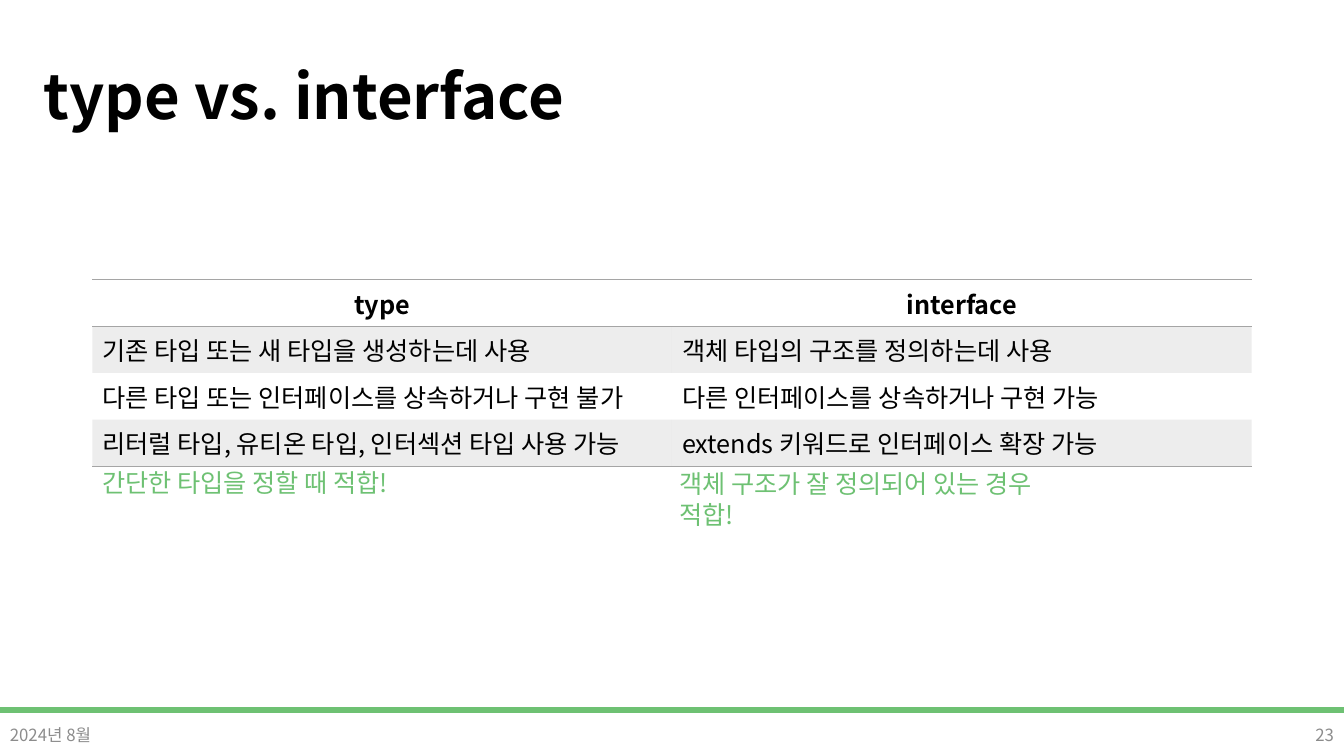
from dataclasses import dataclass

import pptx
import pptx.dml.color
import pptx.enum.shapes
import pptx.enum.text
import pptx.oxml
import pptx.oxml.ns
import pptx.util
from lxml import etree

Pt = pptx.util.Pt
Align = pptx.enum.text.PP_ALIGN
Anchor = pptx.enum.text.MSO_ANCHOR
qn = pptx.oxml.ns.qn

FONT = "Noto Sans CJK KR"
COLORS = {"black": "000000", "green": "6EC173", "gray": "A5A5A5", "footer": "8C8C8C"}
SLIDE_WIDTH, SLIDE_HEIGHT = 960, 540
FOOTER_TOP, FOOTER_WIDTH = 510.5, 216
TABLE_LEFT, TABLE_TOP = 66, 199.8
COLUMN_WIDTH, ROW_HEIGHT = 414, 29.2


@dataclass
class Label:
    text: str
    left: float
    top: float
    width: float
    height: float
    size: float
    color: str
    bold: bool = False
    align: Align = Align.LEFT
    anchor: Anchor = Anchor.TOP
    wrap: bool = True
    spacing: float | None = None


LABELS = [
    Label("2024년 8월", 0, FOOTER_TOP, FOOTER_WIDTH, 28.8, 12, "footer", anchor=Anchor.MIDDLE),
    Label("23", SLIDE_WIDTH - FOOTER_WIDTH, FOOTER_TOP, FOOTER_WIDTH, 28.8, 12, "footer",
          align=Align.RIGHT, anchor=Anchor.MIDDLE),
    Label("type vs. interface", 24, 18.7, 828, 104.4, 44, "black", bold=True,
          anchor=Anchor.MIDDLE, spacing=0.9),
    Label("간단한 타입을 정할 때 적합!", TABLE_LEFT, 330.5, 219.6, 28.8, 18, "green", wrap=False),
    Label("객체 구조가 잘 정의되어 있는 경우 적합!", 478, 331.2, 303, 28.8, 18, "green"),
]

COMPARISON = [
    ("type", "interface"),
    ("기존 타입 또는 새 타입을 생성하는데 사용", "객체 타입의 구조를 정의하는데 사용"),
    ("다른 타입 또는 인터페이스를 상속하거나 구현 불가", "다른 인터페이스를 상속하거나 구현 가능"),
    ("리터럴 타입, 유티온 타입, 인터섹션 타입 사용 가능", "extends 키워드로 인터페이스 확장 가능"),
]


def rgb(color: str) -> pptx.dml.color.RGBColor:
    return pptx.dml.color.RGBColor.from_string(COLORS[color])


def write(paragraph, text: str, size: float, color: str, bold: bool, align: Align) -> None:
    paragraph.text = text
    paragraph.alignment = align
    font = paragraph.font
    font.name, font.size, font.bold = FONT, Pt(size), bold
    font.color.rgb = rgb(color)
    # Korean glyphs take the East Asian typeface
    latin = paragraph._p.pPr.find(qn("a:defRPr")).find(qn("a:latin"))
    east_asian = etree.Element(qn("a:ea"), typeface=FONT)
    latin.addnext(east_asian)


def add_label(slide, label: Label) -> None:
    box = slide.shapes.add_textbox(Pt(label.left), Pt(label.top), Pt(label.width), Pt(label.height))
    frame = box.text_frame
    frame.word_wrap = label.wrap
    frame.vertical_anchor = label.anchor
    paragraph = frame.paragraphs[0]
    write(paragraph, label.text, label.size, label.color, label.bold, label.align)
    if label.spacing:
        paragraph.line_spacing = label.spacing


def set_borders(cell, ruled: set[str]) -> None:
    properties = cell._tc.get_or_add_tcPr()
    for position, side in enumerate("LRTB"):
        border = etree.Element(qn(f"a:ln{side}"), w=str(Pt(1)))
        if side in ruled:
            fill = etree.SubElement(border, qn("a:solidFill"))
            etree.SubElement(fill, qn("a:srgbClr"), val=COLORS["gray"])
        else:
            etree.SubElement(border, qn("a:noFill"))
        properties.insert(position, border)


def shade(cell) -> None:
    cell.fill.solid()
    cell.fill.fore_color.rgb = rgb("gray")
    color = cell._tc.tcPr.find(qn("a:solidFill")).find(qn("a:srgbClr"))
    etree.SubElement(color, qn("a:alpha"), val="20000")


def add_comparison(slide) -> None:
    rows, columns = len(COMPARISON), len(COMPARISON[0])
    table = slide.shapes.add_table(rows, columns, Pt(TABLE_LEFT), Pt(TABLE_TOP),
                                   Pt(columns * COLUMN_WIDTH), Pt(rows * ROW_HEIGHT)).table
    table.horz_banding = False
    table.first_row = False
    for row, texts in enumerate(COMPARISON):
        header = row == 0
        ruled = {"T", "B"} if header else {"B"} if row == rows - 1 else set()
        if row == 1:
            ruled = {"T"}
        for column, text in enumerate(texts):
            cell = table.cell(row, column)
            write(cell.text_frame.paragraphs[0], text, 18, "black", header,
                  Align.CENTER if header else Align.LEFT)
            if row % 2:
                shade(cell)
            else:
                cell.fill.background()
            set_borders(cell, ruled)


def add_footer_bar(slide) -> None:
    bar = slide.shapes.add_shape(pptx.enum.shapes.MSO_SHAPE.RECTANGLE,
                                 Pt(0), Pt(505.4), Pt(SLIDE_WIDTH), Pt(3.6))
    bar.shadow.inherit = False
    bar.fill.solid()
    bar.fill.fore_color.rgb = rgb("green")
    bar.line.color.rgb = rgb("green")
    bar.line.width = Pt(1)


def main() -> None:
    presentation = pptx.Presentation()
    presentation.slide_width, presentation.slide_height = Pt(SLIDE_WIDTH), Pt(SLIDE_HEIGHT)
    slide = presentation.slides.add_slide(presentation.slide_layouts[6])

    # Footer bar and comparison table
    add_footer_bar(slide)
    add_comparison(slide)

    # Footer, title and conclusions
    for label in LABELS:
        add_label(slide, label)

    presentation.save("out.pptx")


if __name__ == "__main__":
    main()
